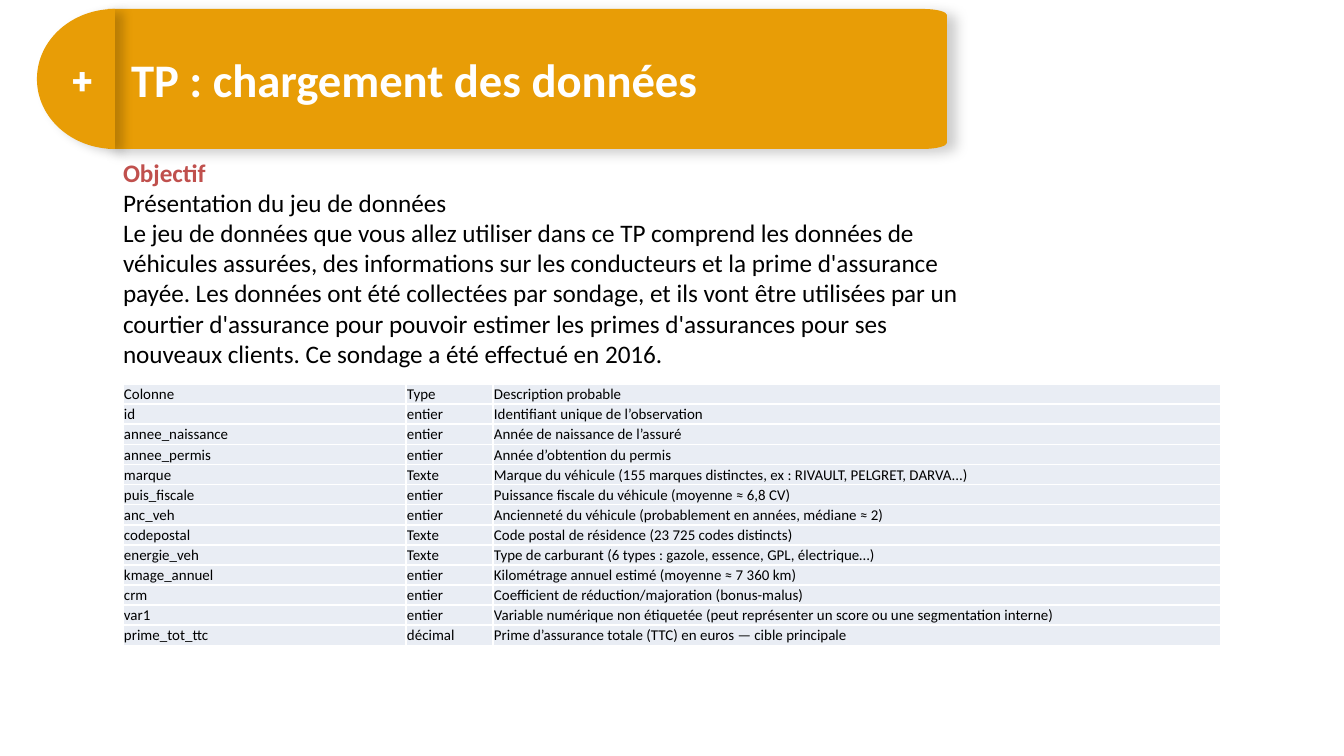
"""Build the slide that presents the insurance data set of the practical."""
from lxml import etree
from pptx import Presentation, util as u
from pptx.dml.color import RGBColor
from pptx.enum import shapes, text
from pptx.oxml import parse_xml
from pptx.oxml.ns import nsdecls, qn

PX = 914400 / 134.4
THEME = {
    "band": "E89D06", "accent": "C0504D", "ink": "000000", "paper": "FFFFFF",
    "cell": "E9EDF4", "font": "Calibri", "sign_font": "Roboto",
    "title": 25, "sign": 20, "body": 13.5, "table": 8,
}


def write(frame, content, size, color="ink", font="font", bold=False, new=False, margins=(0, 0, 0, 0)):
    frame.word_wrap = True
    frame.margin_left, frame.margin_top, frame.margin_right, frame.margin_bottom = (
        round(m * PX) for m in margins)
    paragraph = frame.add_paragraph() if new else frame.paragraphs[0]
    paragraph.alignment = text.PP_ALIGN.LEFT
    run = paragraph.add_run()
    run.text = content
    run.font.size = u.Pt(THEME[size])
    run.font.name = THEME[font]
    run.font.bold = bold
    run.font.color.rgb = RGBColor.from_string(THEME[color])


def draw_outline(canvas, start, segments):
    builder = canvas.build_freeform(*(round(v * PX) for v in start))
    builder.add_line_segments(
        [(round(x * PX), round(y * PX)) for segment in segments for x, y in segment], close=True)
    shape = builder.convert_to_shape()
    lines = iter(list(shape._element.iter(qn("a:lnTo"))))
    for segment in segments:
        steps = [next(lines) for _ in segment]
        if len(steps) == 3:
            curve = etree.Element(qn("a:cubicBezTo"))
            steps[0].addprevious(curve)
            for step in steps:
                curve.append(step[0])
                step.getparent().remove(step)
    return shape


prs = Presentation()
prs.slide_width, prs.slide_height = round(1344 * PX), round(756 * PX)
slide = prs.slides.add_slide(prs.slide_layouts[6])

objective = slide.shapes.add_textbox(*(round(v * PX) for v in (123, 157, 867, 254))).text_frame
write(objective, "Objectif", "body", color="accent", bold=True)
for sentence in (
    "Présentation du jeu de données",
    "Le jeu de données que vous allez utiliser dans ce TP comprend les données de véhicules "
    "assurées, des informations sur les conducteurs et la prime d'assurance payée. Les données "
    "ont été collectées par sondage, et ils vont être utilisées par un courtier d'assurance pour "
    "pouvoir estimer les primes d'assurances pour ses nouveaux clients. Ce sondage a été effectué "
    "en 2016.",
):
    write(objective, sentence, "body", new=True)

variables = [
    ("Colonne", "Type", "Description probable"),
    ("id", "entier", "Identifiant unique de l’observation"),
    ("annee_naissance", "entier", "Année de naissance de l’assuré"),
    ("annee_permis", "entier", "Année d’obtention du permis"),
    ("marque", "Texte", "Marque du véhicule (155 marques distinctes, ex : RIVAULT, PELGRET, DARVA...)"),
    ("puis_fiscale", "entier", "Puissance fiscale du véhicule (moyenne ≈ 6,8 CV)"),
    ("anc_veh", "entier", "Ancienneté du véhicule (probablement en années, médiane ≈ 2)"),
    ("codepostal", "Texte", "Code postal de résidence (23 725 codes distincts)"),
    ("energie_veh", "Texte", "Type de carburant (6 types : gazole, essence, GPL, électrique…)"),
    ("kmage_annuel", "entier", "Kilométrage annuel estimé (moyenne ≈ 7 360 km)"),
    ("crm", "entier", "Coefficient de réduction/majoration (bonus-malus)"),
    ("var1", "entier", "Variable numérique non étiquetée (peut représenter un score ou une segmentation interne)"),
    ("prime_tot_ttc", "décimal", "Prime d’assurance totale (TTC) en euros — cible principale"),
]
widths = (283, 87, 728)
height = 262
dictionary = slide.shapes.add_table(
    len(variables), len(widths),
    *(round(v * PX) for v in (123, 384, sum(widths), height))).table
dictionary.first_row = dictionary.horz_banding = False
for column, width in zip(dictionary.columns, widths):
    column.width = round(width * PX)
for row, values in zip(dictionary.rows, variables):
    row.height = round(height * PX / len(variables))
    for cell, value in zip(row.cells, values):
        write(cell.text_frame, value, "table")
        cell.margin_left = cell.margin_top = cell.margin_right = round(PX)
        cell.margin_bottom = 0
        cell.vertical_anchor = text.MSO_ANCHOR.MIDDLE
        for side in "LRTB":
            cell._tc.get_or_add_tcPr().append(parse_xml(
                f'<a:ln{side} {nsdecls("a")} w="12700"><a:solidFill>'
                f'<a:srgbClr val="{THEME["paper"]}"/></a:solidFill></a:ln{side}>'))
        cell.fill.solid()
        cell.fill.fore_color.rgb = RGBColor.from_string(THEME["cell"])

banner = draw_outline(slide.shapes, (108, 9), [
    [(108, 149)],
    [(923, 149)],
    [(937, 149), (947, 146), (947, 143)],
    [(947, 15)],
    [(947, 12), (937, 9), (923, 9)],
])
cap = draw_outline(slide.shapes, (115, 9), [
    [(72, 9), (37, 40), (37, 79)],
    [(37, 118), (72, 149), (115, 149)],
    [(115, 9)],
])
plus = slide.shapes.add_shape(
    shapes.MSO_SHAPE.RECTANGLE, *(round(v * PX) for v in (59, 52, 48, 56)))
for part in (banner, cap, plus):
    part.fill.solid()
    part.fill.fore_color.rgb = RGBColor.from_string(THEME["band"])
    part.line.fill.background()
    part.shadow.inherit = False
for part, blur, angle in ((banner, 6.8, 20), (cap, 5.6, 19)):
    part._element.spPr.find(qn("a:effectLst")).append(parse_xml(
        f'<a:outerShdw {nsdecls("a")} blurRad="{u.Pt(blur)}" dist="{u.Pt(4.5)}" '
        f'dir="{angle * 60000}" algn="tl" rotWithShape="0">'
        f'<a:srgbClr val="{THEME["ink"]}"><a:alpha val="20000"/></a:srgbClr></a:outerShdw>'))

plus.text_frame.vertical_anchor = text.MSO_ANCHOR.MIDDLE
write(plus.text_frame, "+", "sign", color="paper", font="sign_font", bold=True,
      margins=(13, 13, 13, 13))

title = slide.shapes.add_textbox(*(round(v * PX) for v in (121, 46, 742, 67)))
write(title.text_frame, "TP : chargement des données", "title", color="paper", bold=True,
      margins=(10, 5, 10, 5))

prs.save("out.pptx")
